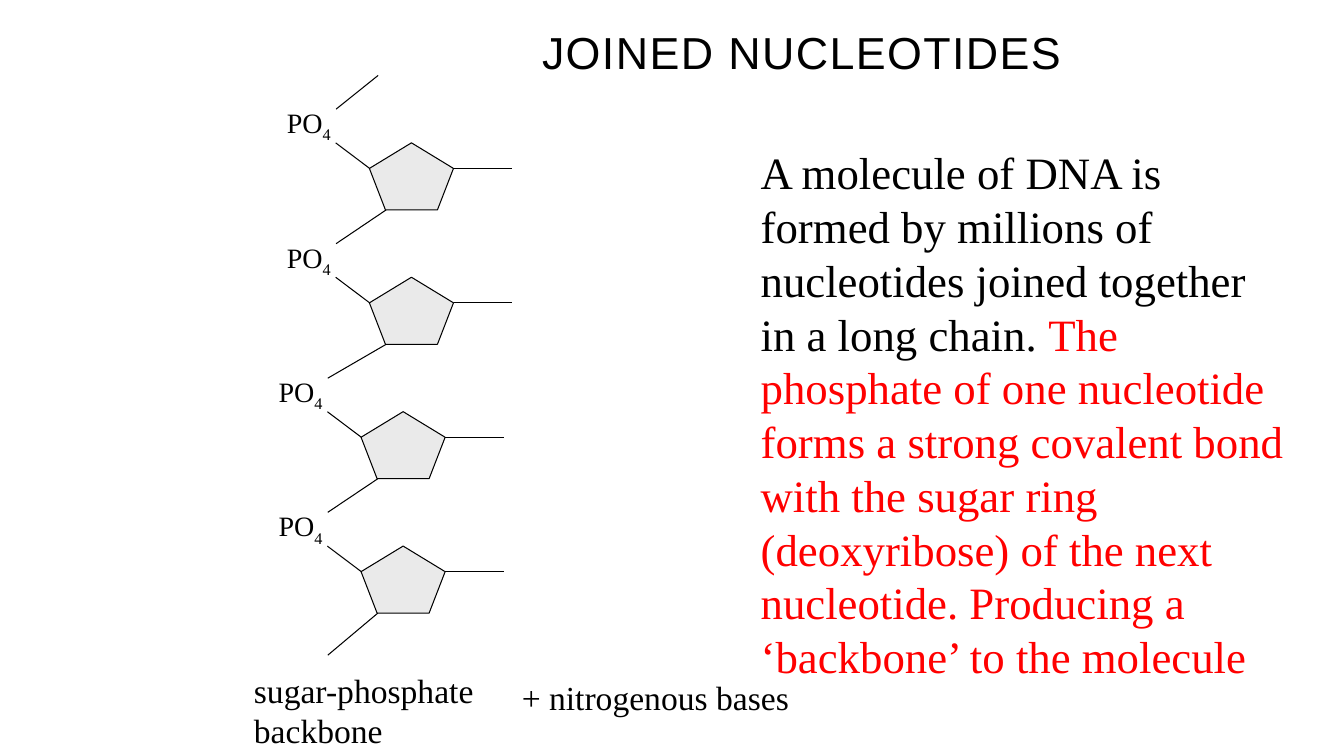
from lxml.etree import SubElement
from pptx import Presentation
from pptx.dml.color import RGBColor
from pptx.enum.shapes import MSO_CONNECTOR, MSO_SHAPE
from pptx.enum.text import MSO_ANCHOR
from pptx.oxml.ns import qn
from pptx.util import Cm, Pt

COLORS = {"ink": "000000", "accent": "FF0000", "sugar": "EAEAEA"}
SERIF, SANS = "Times New Roman", "Arial"

TITLE = "JOINED NUCLEOTIDES"
EXPLANATION = [
    ("A molecule of DNA is formed by millions of nucleotides joined together in a long chain. ", "ink"),
    ("The phosphate of one nucleotide forms a strong covalent bond with the sugar ring "
     "(deoxyribose) of the next nucleotide. Producing a ‘backbone’ to the molecule", "accent"),
]
PHOSPHATE = [("PO", "ink"), ("4", "ink")]
CAPTIONS = [
    (["sugar-phosphate", "backbone"], (6.15, 16.76, 6.3, 2.31)),
    (["+ nitrogenous bases"], (12.9, 16.94, 7.32, 1.3)),
]

RING_LEFTS = [9.31, 9.31, 9.1, 9.1]
BACKBONE_ENDS = [(8.47, 6.14), (8.26, 9.53), (8.26, 12.91), (8.26, 16.51)]
FIRST_TOP, PITCH = 3.6, 3.387
RING_WIDTH, RING_HEIGHT = 2.12, 1.69
SHOULDER, FOOT = 0.64, 0.42
PHOSPHATE_GAP, BASE_LENGTH = 0.85, 1.48
CHAIN_START = ((8.47, 2.75), (9.53, 1.9))

deck = Presentation()
deck.slide_width, deck.slide_height = Cm(33.87), Cm(19.05)
page = deck.slides.add_slide(deck.slide_layouts[6])


def color(name):
    return RGBColor.from_string(COLORS[name])


def add_text(paragraphs, place, size, font=SERIF, wrap=False):
    box = page.shapes.add_textbox(*map(Cm, place))
    frame = box.text_frame
    frame.word_wrap = wrap
    for index, spans in enumerate(paragraphs):
        para = frame.paragraphs[0] if index == 0 else frame.add_paragraph()
        for text, tone in spans:
            span = para.add_run()
            span.text = text
            span.font.name = font
            span.font.size = Pt(size)
            span.font.color.rgb = color(tone)
    return frame


def add_line(start, end):
    line = page.shapes.add_connector(MSO_CONNECTOR.STRAIGHT, *map(Cm, start + end))
    line.line.color.rgb = color("ink")
    line.line.width = Pt(0.75)
    SubElement(line._element.spPr, qn("a:effectLst"))


def add_nucleotide(left, top, backbone_end):
    ring = page.shapes.add_shape(
        MSO_SHAPE.REGULAR_PENTAGON, Cm(left), Cm(top), Cm(RING_WIDTH), Cm(RING_HEIGHT))
    ring.shadow.inherit = False
    ring.fill.solid()
    ring.fill.fore_color.rgb = color("sugar")
    ring.line.color.rgb = color("ink")
    ring.line.width = Pt(0.75)

    label = add_text([PHOSPHATE], (left - 2.33, top - 1.06, 1.65, 1.12), 20)
    label.paragraphs[0].runs[1]._r.get_or_add_rPr().set("baseline", "-25000")

    shoulder = top + SHOULDER
    right = left + RING_WIDTH
    add_line((left, shoulder), (left - PHOSPHATE_GAP, top))
    add_line((right, shoulder), (right + BASE_LENGTH, shoulder))
    add_line((left + FOOT, top + RING_HEIGHT), backbone_end)


add_text([EXPLANATION], (18.92, 3.53, 13.82, 13.94), 32, wrap=True)

add_line(*CHAIN_START)
for row, (left, backbone_end) in enumerate(zip(RING_LEFTS, BACKBONE_ENDS)):
    add_nucleotide(left, FIRST_TOP + row * PITCH, backbone_end)

for lines, place in CAPTIONS:
    add_text([[(line, "ink")] for line in lines], place, 24)

title = add_text([[(TITLE, "ink")]], (13.41, 0.79, 14.68, 1.27), 32, SANS, wrap=True)
title.vertical_anchor = MSO_ANCHOR.MIDDLE
title.paragraphs[0].line_spacing = 0.8
title.paragraphs[0].runs[0]._r.get_or_add_rPr().set("spc", "100")

deck.save("out.pptx")
